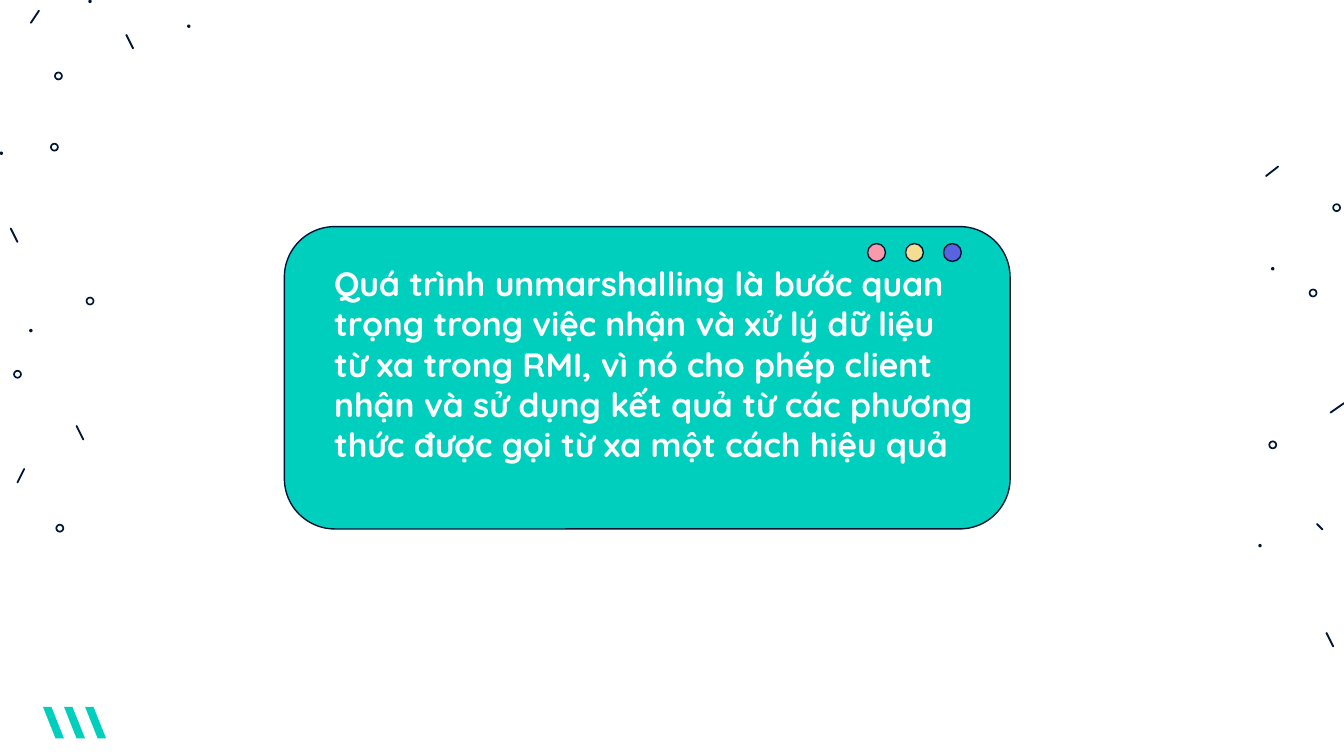
import pptx
import pptx.dml.color
import pptx.enum.shapes
import pptx.enum.text
import pptx.oxml
import pptx.util
from lxml import etree

# The slide is a 16:9 grid, 1000 columns wide; boxes and lengths are in cells.
COLUMNS = 1000
ROWS = COLUMNS * 9 / 16
CELL = pptx.util.Inches(10) // COLUMNS
SHAPE = pptx.enum.shapes.MSO_SHAPE
COLORS = {
    "ink": "011635",
    "teal": "00CFBE",
    "pink": "F99AAA",
    "yellow": "F4DC90",
    "blue": "5863E0",
    "white": "FFFFFF",
}
FONT = "Quicksand"
MESSAGE = (
    "Quá trình unmarshalling là bước quan trọng trong việc nhận và xử lý dữ liệu "
    "từ xa trong RMI, vì nó cho phép client nhận và sử dụng kết quả từ các phương "
    "thức được gọi từ xa một cách hiệu quả"
)

# Positions count from the corner of each scatter's box.
LEFT_SCATTER = {
    "dashes": [(23, 17, 29, 8), (8, 170, 13, 180), (13, 359, 18, 349),
               (57, 317, 62, 327), (94, 26, 99, 36)],
    "rings": [(43.5, 56.5), (13, 278.5), (44.5, 393), (40.5, 109.5), (67, 224)],
    "dots": [(23, 246), (67, 1), (1, 114), (140.5, 19.5)],
}
RIGHT_SCATTER = {
    "dashes": [(54, 184, 64, 177), (51, 348, 56, 358), (44, 267, 48, 271),
               (6, 8, 15, 1)],
    "rings": [(11, 208), (41, 95), (58.5, 31.5)],
    "dots": [(1.5, 283), (11, 77)],
}


def cells(*counts):
    return [pptx.util.Emu(round(count * CELL)) for count in counts]


def color(name):
    return pptx.dml.color.RGBColor.from_string(COLORS[name])


def paint(shape, fill, outlined=False):
    shape.shadow.inherit = False
    shape.fill.solid()
    shape.fill.fore_color.rgb = color(fill)
    if outlined:
        shape.line.color.rgb = color("ink")
        shape.line.width = pptx.util.Pt(0.75)
    else:
        shape.line.fill.background()
    return shape


def add_round(slide, kind, center_x, center_y, size, fill, outlined=False):
    """Add a circle or ring around its centre."""
    box = cells(center_x - size / 2, center_y - size / 2, size, size)
    return paint(slide.shapes.add_shape(kind, *box), fill, outlined)


def add_dash(slide, x1, y1, x2, y2):
    dash = slide.shapes.add_connector(
        pptx.enum.shapes.MSO_CONNECTOR.STRAIGHT, *cells(x1, y1, x2, y2))
    dash.line.color.rgb = color("ink")
    dash.line.width = pptx.util.Pt(1)
    dash.line._get_or_add_ln().set("cap", "rnd")
    etree.SubElement(dash._element.spPr, pptx.oxml.ns.qn("a:effectLst"))


def add_scatter(slide, left, top, marks):
    for x1, y1, x2, y2 in marks["dashes"]:
        add_dash(slide, left + x1, top + y1, left + x2, top + y2)
    for x, y in marks["rings"]:
        ring = add_round(slide, SHAPE.DONUT, left + x, top + y, 6.5, "ink")
        ring.adjustments[0] = 0.2
    for x, y in marks["dots"]:
        add_round(slide, SHAPE.OVAL, left + x, top + y, 2.5, "ink")


def add_stripes(slide, left, top, width, height, count=3):
    step = width / count
    edge = step * 0.4
    for index in range(count):
        x = left + index * step
        corners = [(x, top), (x + edge, top),
                   (x + step, top + height), (x + step - edge, top + height)]
        points = [cells(*corner) for corner in corners]
        outline = slide.shapes.build_freeform(*points[0])
        outline.add_line_segments(points[1:], close=True)
        paint(outline.convert_to_shape(), "teal")


def add_window_card(slide, left, top, width, height):
    """Add the rounded card with its three window buttons and its message."""
    card = slide.shapes.add_shape(
        SHAPE.ROUNDED_RECTANGLE, *cells(left, top, width, height))
    paint(card, "teal", outlined=True).adjustments[0] = 0.167

    for index, fill in enumerate(("pink", "yellow", "blue")):
        add_round(slide, SHAPE.OVAL, left + width * 0.816 + index * 28.2,
                  top + 19.3, 13.3, fill, outlined=True)

    message = slide.shapes.add_textbox(
        *cells(left + 37, top + 27, width - 63, height - 76)).text_frame
    message.word_wrap = True
    message.margin_left = message.margin_right = 0
    message.margin_top = message.margin_bottom = 0
    message.vertical_anchor = pptx.enum.text.MSO_ANCHOR.TOP
    paragraph = message.paragraphs[0]
    paragraph.text = MESSAGE
    paragraph.line_spacing = pptx.util.Pt(21.6)
    paragraph.font.name = FONT
    paragraph.font.size = pptx.util.Pt(18)
    paragraph.font.bold = True
    paragraph.font.color.rgb = color("white")


def main():
    deck = pptx.Presentation()
    deck.slide_width, deck.slide_height = cells(COLUMNS, ROWS)
    slide = deck.slides.add_slide(deck.slide_layouts[6])
    add_scatter(slide, 936, 123, RIGHT_SCATTER)
    add_scatter(slide, 0, 0, LEFT_SCATTER)
    add_stripes(slide, 32, 526, 47, 23.5)
    add_window_card(slide, 211.6, 168.6, 540, 225)
    deck.save("out.pptx")


if __name__ == "__main__":
    main()
